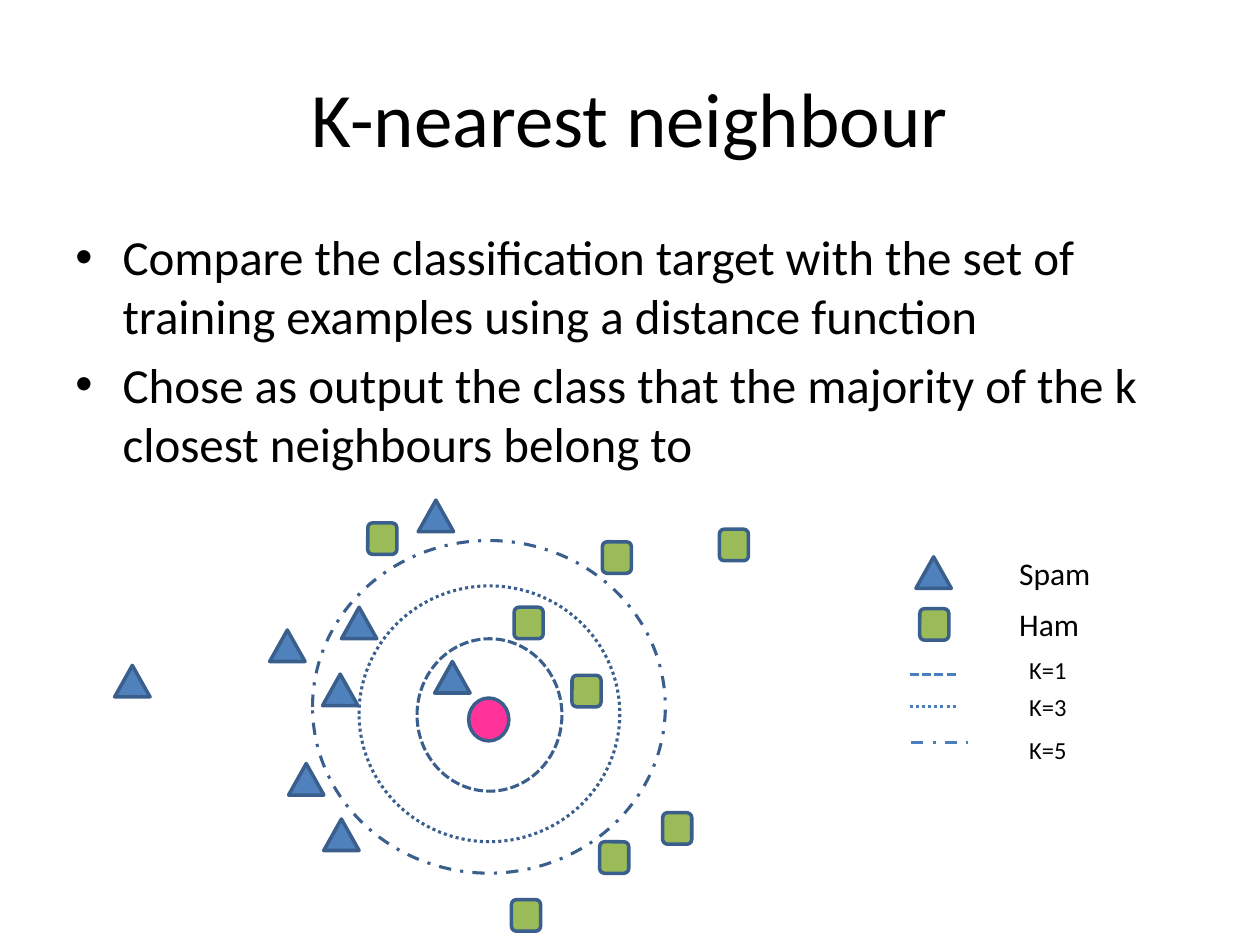
from lxml.etree import SubElement
from pptx import Presentation
from pptx.dml.color import RGBColor
from pptx.enum.dml import MSO_LINE
from pptx.enum.shapes import MSO_CONNECTOR, MSO_SHAPE
from pptx.enum.text import MSO_ANCHOR, PP_ALIGN
from pptx.oxml.ns import qn
from pptx.util import Pt

BLACK = RGBColor(0x00, 0x00, 0x00)
BLUE = RGBColor(0x4F, 0x81, 0xBD)
GREEN = RGBColor(0x9B, 0xBB, 0x59)
PINK = RGBColor(0xFF, 0x33, 0x99)
OUTLINE = RGBColor(0x3A, 0x5F, 0x8C)
KEY_LINE = RGBColor(0x4B, 0x7E, 0xBC)


def apply(target, values):
    for name, value in values.items():
        setattr(target, name, value)


class SlideWriter:
    font = {"name": "Calibri"}
    bullet_indent = Pt(27)

    def __init__(self, slide):
        self.slide = slide

    def text(self, box, paragraphs, size, bullet=False, frame=None, layout=None):
        text_frame = self.slide.shapes.add_textbox(*map(Pt, box)).text_frame
        apply(text_frame, frame or {"word_wrap": True})
        for index, words in enumerate(paragraphs):
            paragraph = text_frame.add_paragraph() if index else text_frame.paragraphs[0]
            apply(paragraph, layout or {})
            if bullet:
                self.bullet(paragraph)
            run = paragraph.add_run()
            run.text = words
            apply(run.font, {**self.font, "size": Pt(size)})
            run.font.color.rgb = BLACK

    def bullet(self, paragraph):
        properties = paragraph._p.get_or_add_pPr()
        properties.set("marL", str(self.bullet_indent))
        properties.set("indent", str(-self.bullet_indent))
        SubElement(properties, qn("a:buFont"), typeface="Arial")
        SubElement(properties, qn("a:buChar"), char="•")

    def stroke(self, line, color, width, dash=None):
        line.color.rgb = color
        apply(line, {"width": Pt(width), "dash_style": dash})

    def marker(self, kind, box, color):
        marker = self.slide.shapes.add_shape(kind, *map(Pt, box))
        marker.shadow.inherit = False
        marker.fill.solid()
        marker.fill.fore_color.rgb = color
        self.stroke(marker.line, OUTLINE, 2)

    def ring(self, box, dash):
        ring = self.slide.shapes.add_shape(MSO_SHAPE.OVAL, *map(Pt, box))
        ring.shadow.inherit = False
        ring.fill.background()
        self.stroke(ring.line, OUTLINE, 1.75, dash)

    def key_line(self, left, right, y, dash):
        key = self.slide.shapes.add_connector(
            MSO_CONNECTOR.STRAIGHT, Pt(left), Pt(y), Pt(right), Pt(y))
        self.stroke(key.line, KEY_LINE, 1.75, dash)
        SubElement(key._element.spPr, qn("a:effectLst"))


SPAM = [(248.4, 378), (195.1, 347), (184.3, 385.2), (185, 468), (65.5, 380.2),
        (164.9, 436.3), (239, 285.8), (154.1, 360), (523.4, 318.2)]
HAM = [(326.9, 385.9), (293.8, 347), (344.2, 309.6), (342.7, 481), (378.7, 464.4),
       (210.2, 298.8), (411.1, 302.4), (292.3, 514.1), (525.6, 347.8)]
CLASSES = [
    (MSO_SHAPE.ISOSCELES_TRIANGLE, (20.2, 18), BLUE, SPAM),
    (MSO_SHAPE.ROUNDED_RECTANGLE, (16.6, 18), GREEN, HAM),
]
NEIGHBOURHOODS = [
    ("K=1", MSO_LINE.SQUARE_DOT, (238.3, 365, 82.8, 87.1), (519.8, 546.5, 385.2), 370.8),
    ("K=3", MSO_LINE.ROUND_DOT, (205.2, 334.8, 149, 146.2), (519.8, 547.2, 403.9), 391.7),
    ("K=5", MSO_LINE.DASH_DOT, (178.6, 308.9, 201.6, 190.1), (520.6, 553, 424.1), 416.2),
]


def main():
    presentation = Presentation()
    apply(presentation, {"slide_width": Pt(720), "slide_height": Pt(540)})
    writer = SlideWriter(presentation.slides.add_slide(presentation.slide_layouts[6]))

    writer.text((36, 21.6, 648, 90), ["K-nearest neighbour"], 44,
                frame={"word_wrap": True, "vertical_anchor": MSO_ANCHOR.MIDDLE},
                layout={"alignment": PP_ALIGN.CENTER})
    writer.text((36, 126, 648, 356.4), [
        "Compare the classification target with the set of training examples "
        "using a distance function",
        "Chose as output the class that the majority of the k closest "
        "neighbours belong to",
    ], 28, bullet=True, layout={"space_before": Pt(5.6)})

    writer.marker(MSO_SHAPE.OVAL, (267.8, 398.9, 23, 24.5), PINK)
    for kind, size, color, positions in CLASSES:
        for position in positions:
            writer.marker(kind, position + size, color)

    label_frame = {"word_wrap": False}
    for label, top, width in (("Spam", 313.2, 55.4), ("Ham", 342, 49)):
        writer.text((575.3, top, width, 28.8), [label], 18, frame=label_frame)
    for label, dash, ring, key, top in NEIGHBOURHOODS:
        writer.ring(ring, dash)
        writer.key_line(*key, dash)
        writer.text((581, top, 36, 24.5), [label], 14, frame=label_frame)

    presentation.save("out.pptx")


if __name__ == "__main__":
    main()
